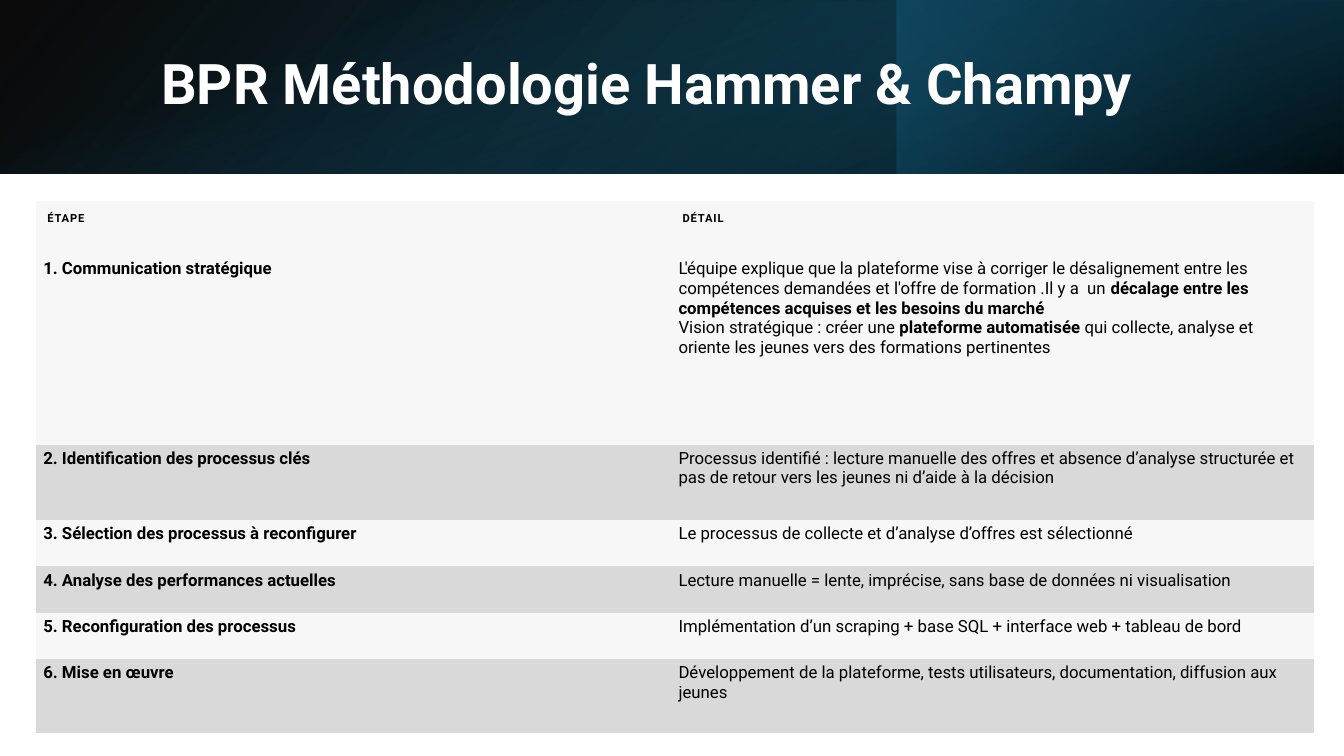
from lxml import etree
from pptx import Presentation
from pptx.dml.color import RGBColor
from pptx.enum import shapes, text
from pptx.oxml import ns
from pptx.util import Inches, Pt

BLACK = RGBColor(0x00, 0x00, 0x00)
WHITE = RGBColor(0xFF, 0xFF, 0xFF)
NAVY = RGBColor(0x10, 0x48, 0x62)
DEEP = RGBColor(0x0B, 0x30, 0x41)
TEAL = RGBColor(0x15, 0x60, 0x82)
LIGHT = RGBColor(0xF7, 0xF7, 0xF7)
GREY = RGBColor(0xD9, 0xD9, 0xD9)
FONT = "Roboto"
NO_STYLE = "{2D5ABB26-0587-4C30-8999-92F81FD0307C}"

TITLE = "BPR Méthodologie Hammer & Champy"
HEADERS = ["ÉTAPE", "DÉTAIL"]
STEPS = [
    ("1. Communication stratégique", [
        [("L'équipe explique que la plateforme vise à corriger le désalignement entre les "
          "compétences demandées et l'offre de formation .Il y a  un ", False),
         ("décalage entre les compétences acquises et les besoins du marché", True)],
        [("Vision stratégique : créer une ", False),
         ("plateforme automatisée", True),
         (" qui collecte, analyse et oriente les jeunes vers des formations pertinentes", False)],
    ]),
    ("2. Identification des processus clés", [[(
        "Processus identifié : lecture manuelle des offres et absence d’analyse structurée "
        "et pas de retour vers les jeunes ni d’aide à la décision", False)]]),
    ("3. Sélection des processus à reconfigurer", [[(
        "Le processus de collecte et d’analyse d’offres est sélectionné", False)]]),
    ("4. Analyse des performances actuelles", [[(
        "Lecture manuelle = lente, imprécise, sans base de données ni visualisation", False)]]),
    ("5. Reconfiguration des processus", [[(
        "Implémentation d’un scraping + base SQL + interface web + tableau de bord", False)]]),
    ("6. Mise en œuvre", [[(
        "Développement de la plateforme, tests utilisateurs, documentation, "
        "diffusion aux jeunes", False)]]),
]
COLUMN_WIDTHS = [6.3, 6.37]
ROW_HEIGHTS = [0.54, 1.88, 0.75, 0.46, 0.46, 0.46, 0.73]

# box, rotation, mirrored, clockwise angle, stops (position %, colour, opacity %)
BANNER = [
    ((0, 0, 13.33, 1.72), 0, True, 140, [(0, BLACK, 96), (100, NAVY, 100)]),
    ((8.89, 0, 4.44, 1.72), 180, False, 320, [(19, DEEP, 68), (100, TEAL, 79)]),
    ((5.8, -5.8, 1.72, 13.33), 90, False, 340, [(23, TEAL, 0), (99, BLACK, 74)]),
]


def add_banner_layer(s, box, rotation, mirrored, angle, stops):
    sp = s.shapes.add_shape(shapes.MSO_SHAPE.RECTANGLE, *map(Inches, box))
    sp.shadow.inherit = False
    sp.line.fill.background()
    sp.rotation = rotation
    if mirrored:
        sp._element.spPr.find(ns.qn("a:xfrm")).set("flipH", "1")
    sp.fill.gradient()
    sp.fill.gradient_angle = 360 - angle
    for stop, (position, color, opacity) in zip(sp.fill.gradient_stops, stops):
        stop.position = position / 100
        stop.color.rgb = color
    colors = sp._element.spPr.iter(ns.qn("a:srgbClr"))
    for color, (_, _, opacity) in zip(list(colors), stops):
        etree.SubElement(color, ns.qn("a:alpha"), val=str(opacity * 1000))


def fill_cell(cell, paragraphs, size, margins, color, spacing=0):
    cell.fill.solid()
    cell.fill.fore_color.rgb = color
    cell.margin_left, cell.margin_top, cell.margin_right, cell.margin_bottom = map(Inches, margins)
    tf = cell.text_frame
    for i, runs in enumerate(paragraphs):
        p = tf.add_paragraph() if i else tf.paragraphs[0]
        p.font.name, p.font.size = FONT, Pt(size)
        p.font.color.rgb = BLACK
        for wording, bold in runs:
            r = p.add_run()
            r.text = wording
            r.font.name, r.font.size, r.font.bold = FONT, Pt(size), bold
            r.font.color.rgb = BLACK
            if spacing:
                r._r.get_or_add_rPr().set("spc", str(spacing))


def add_steps_table(s):
    frame = s.shapes.add_table(
        len(ROW_HEIGHTS), len(COLUMN_WIDTHS), Inches(0.36), Inches(1.99),
        Inches(sum(COLUMN_WIDTHS)), Inches(sum(ROW_HEIGHTS)))
    table = frame.table
    table.first_row = table.horz_banding = False
    table._tbl.tblPr.find(ns.qn("a:tableStyleId")).text = NO_STYLE
    for column, width in zip(table.columns, COLUMN_WIDTHS):
        column.width = Inches(width)
    for row, height in zip(table.rows, ROW_HEIGHTS):
        row.height = Inches(height)
    for c, header in enumerate(HEADERS):
        fill_cell(table.cell(0, c), [[(header, True)]], 8, [0.11] * 4, LIGHT, 60)
    for n, (step, detail) in enumerate(STEPS, 1):
        color = LIGHT if n % 2 else GREY
        for c, paragraphs in enumerate(([[(step, True)]], detail)):
            fill_cell(table.cell(n, c), paragraphs, 12, (0.07, 0.04, 0.07, 0.07), color)


def set_title(s):
    title = s.shapes.title
    title.left, title.top, title.width, title.height = map(Inches, (1.5, 0.38, 10.98, 0.96))
    tf = title.text_frame
    tf.text = TITLE
    tf.word_wrap = True
    tf.auto_size = text.MSO_AUTO_SIZE.NONE
    tf.vertical_anchor = text.MSO_ANCHOR.MIDDLE
    p = tf.paragraphs[0]
    p.alignment = text.PP_ALIGN.LEFT
    p.line_spacing = 0.9
    p.font.name, p.font.size, p.font.bold = FONT, Pt(40), True
    p.font.color.rgb = WHITE
    s.shapes._spTree.append(title._element)


def main():
    prs = Presentation()
    prs.slide_width, prs.slide_height = Inches(13.33), Inches(7.5)
    s = prs.slides.add_slide(prs.slide_layouts[5])
    for layer in BANNER:
        add_banner_layer(s, *layer)
    set_title(s)
    add_steps_table(s)
    prs.save("out.pptx")


if __name__ == "__main__":
    main()
